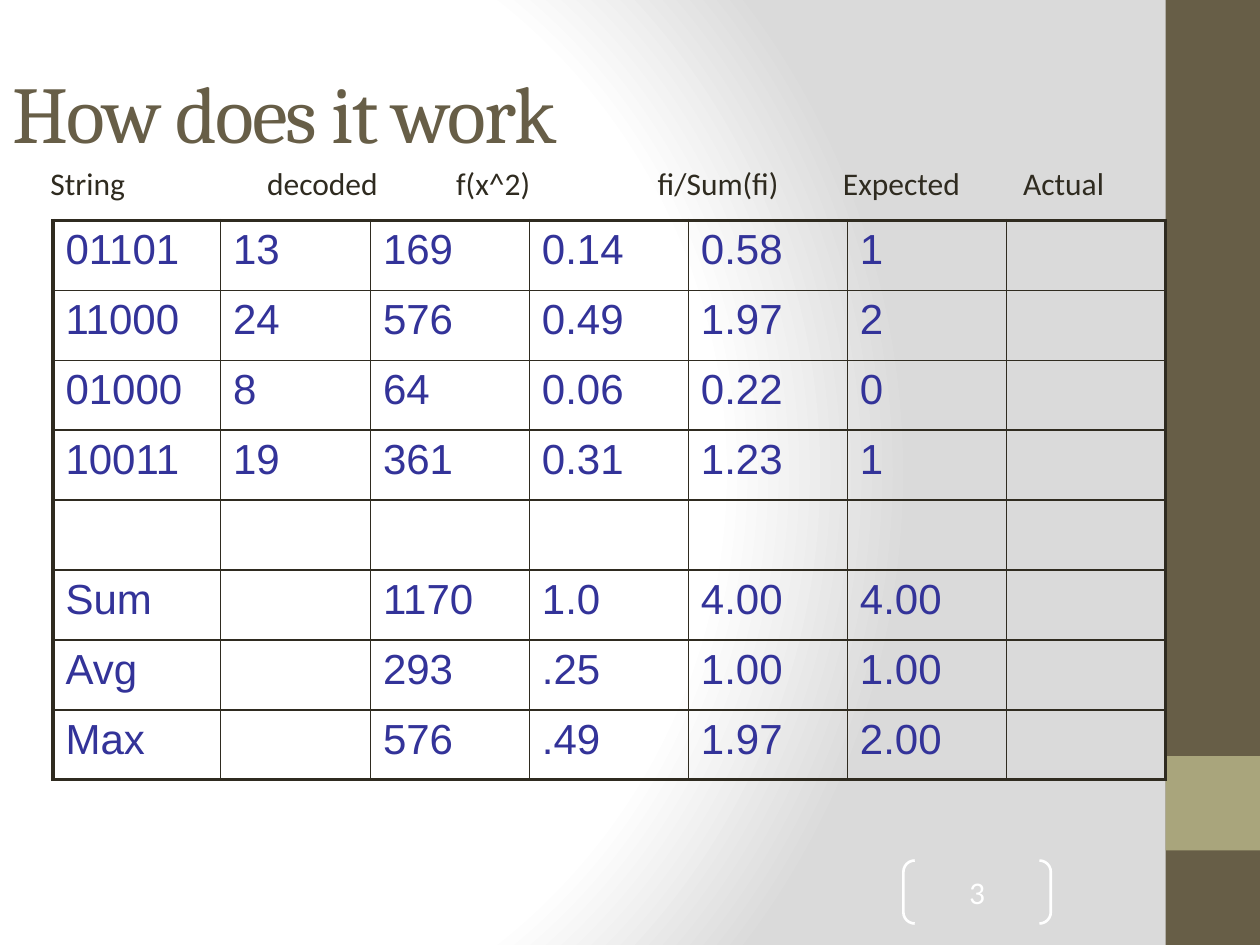
import pptx
import pptx.dml.color
import pptx.enum.shapes
import pptx.enum.text
import pptx.oxml
import pptx.oxml.ns
import pptx.util
from lxml import etree
from pptx.util import Inches

COLORS = {
    "white": "FFFFFF",
    "shade": "DADADA",
    "brown": "675E47",
    "olive": "A9A57C",
    "ink": "2F2B20",
    "blue": "333399",
}
HEADINGS = ["String", "decoded", "f(x^2)", "fi/Sum(fi)", "Expected", "Actual"]
HEADING_STOPS = [1.72, 3.22, 4.82, 6.29, 7.72]
ROWS = [
    ["01101", "13", "169", "0.14", "0.58", "1", ""],
    ["11000", "24", "576", "0.49", "1.97", "2", ""],
    ["01000", "8", "64", "0.06", "0.22", "0", ""],
    ["10011", "19", "361", "0.31", "1.23", "1", ""],
    [""] * 7,
    ["Sum", "", "1170", "1.0", "4.00", "4.00", ""],
    ["Avg", "", "293", ".25", "1.00", "1.00", ""],
    ["Max", "", "576", ".49", "1.97", "2.00", ""],
]
qn = pptx.oxml.ns.qn


def rgb(name):
    return pptx.dml.color.RGBColor.from_string(COLORS[name])


def add_node(parent, tag, **attributes):
    node = etree.SubElement(parent, qn(tag))
    for key, value in attributes.items():
        node.set(key, str(value))
    return node


def add_solid_color(parent, name):
    add_node(add_node(parent, "a:solidFill"), "a:srgbClr", val=COLORS[name])


def style_span(span, font, size, color):
    span.font.name = font
    span.font.size = pptx.util.Pt(size)
    span.font.color.rgb = rgb(color)


def add_background(page):
    page.background.fill.gradient()
    gradient = page.element.find(".//" + qn("a:gradFill"))
    for child in list(gradient):
        gradient.remove(child)
    stops = add_node(gradient, "a:gsLst")
    for position, name in [(0, "white"), (75, "white"), (100, "shade")]:
        stop = add_node(stops, "a:gs", pos=position * 1000)
        add_node(stop, "a:srgbClr", val=COLORS[name])
    circle = add_node(gradient, "a:path", path="circle")
    add_node(circle, "a:fillToRect", l=20000, t=50000, r=100000, b=50000)


def add_side_band(page, left, top, width, height):
    for y, h, color in [(top, height, "brown"), (Inches(6), width, "olive")]:
        band = page.shapes.add_shape(
            pptx.enum.shapes.MSO_SHAPE.RECTANGLE, left, y, width, h)
        band.shadow.inherit = False
        band.fill.solid()
        band.fill.fore_color.rgb = rgb(color)
        band.line.fill.background()


def add_page_number(page, left, top, width, height):
    bracket = page.shapes.add_shape(
        pptx.enum.shapes.MSO_SHAPE.DOUBLE_BRACKET, left, top, width, height)
    bracket.adjustments[0] = 0.18
    bracket.shadow.inherit = False
    bracket.fill.background()
    bracket.line.color.rgb = rgb("white")
    bracket.line.width = pptx.util.Pt(1.5)
    frame = bracket.text_frame
    frame.margin_left = frame.margin_right = 0
    frame.margin_top = frame.margin_bottom = 0
    frame.vertical_anchor = pptx.enum.text.MSO_ANCHOR.MIDDLE
    frame.text = "3"
    para = frame.paragraphs[0]
    para.alignment = pptx.enum.text.PP_ALIGN.CENTER
    style_span(para.runs[0], "Calibri", 18, "white")


def add_title(page, left, top, width, height):
    frame = page.shapes.add_textbox(left, top, width, height).text_frame
    frame.word_wrap = True
    frame.vertical_anchor = pptx.enum.text.MSO_ANCHOR.MIDDLE
    frame.text = "How does it work"
    span = frame.paragraphs[0].runs[0]
    style_span(span, "Cambria", 46, "brown")
    span.font._element.set("spc", "-100")


def add_headings(page, left, top, width, height):
    frame = page.shapes.add_textbox(left, top, width, height).text_frame
    frame.word_wrap = True
    frame.margin_left = Inches(0.15)
    frame.text = "\t".join(HEADINGS)
    para = frame.paragraphs[0]
    tabs = add_node(para._p.get_or_add_pPr(), "a:tabLst")
    for stop in HEADING_STOPS:
        add_node(tabs, "a:tab", pos=Inches(stop), algn="l")
    for span in para.runs:
        style_span(span, "Calibri", 18, "ink")


def set_borders(cell, outer_sides):
    properties = cell._tc.get_or_add_tcPr()
    for index, side in enumerate("LRTB"):
        points = 2.25 if side in outer_sides else 1
        line = etree.Element(qn("a:ln" + side))
        line.set("w", str(pptx.util.Pt(points)))
        add_solid_color(line, "ink")
        properties.insert(index, line)


def add_results_table(page, left, top, width, height):
    columns = len(ROWS[0])
    table = page.shapes.add_table(
        len(ROWS), columns, left, top, width, height).table
    table.first_row = False
    table.horz_banding = False
    # Two own widths, then equal columns
    widths = [Inches(1.33), Inches(1.19)]
    widths += [(width - sum(widths)) // 5] * 5
    for column, column_width in zip(table.columns, widths):
        column.width = column_width
    for y, values in enumerate(ROWS):
        table.rows[y].height = height // len(ROWS)
        for x, value in enumerate(values):
            cell = table.cell(y, x)
            cell.fill.background()
            outer = [side for side, at_edge in zip(
                "LRTB", [x == 0, x == columns - 1, y == 0, y == len(ROWS) - 1])
                if at_edge]
            set_borders(cell, outer)
            if value:
                cell.text_frame.text = value
                span = cell.text_frame.paragraphs[0].runs[0]
                style_span(span, "Arial", 24, "blue")


def main():
    deck = pptx.Presentation()
    deck.slide_width, deck.slide_height = Inches(10), Inches(7.5)
    page = deck.slides.add_slide(deck.slide_layouts[6])
    add_background(page)
    add_side_band(page, Inches(9.25), 0, Inches(0.75), Inches(7.5))
    add_page_number(page, Inches(7.17), Inches(6.83), Inches(1.17), Inches(0.5))
    add_title(page, 0, Inches(0.42), Inches(9.42), Inches(0.92))
    add_results_table(page, Inches(0.42), Inches(1.75), Inches(8.83), Inches(4.44))
    add_headings(page, Inches(0.25), Inches(1.25), Inches(9.08), Inches(0.33))
    deck.save("out.pptx")


if __name__ == "__main__":
    main()
